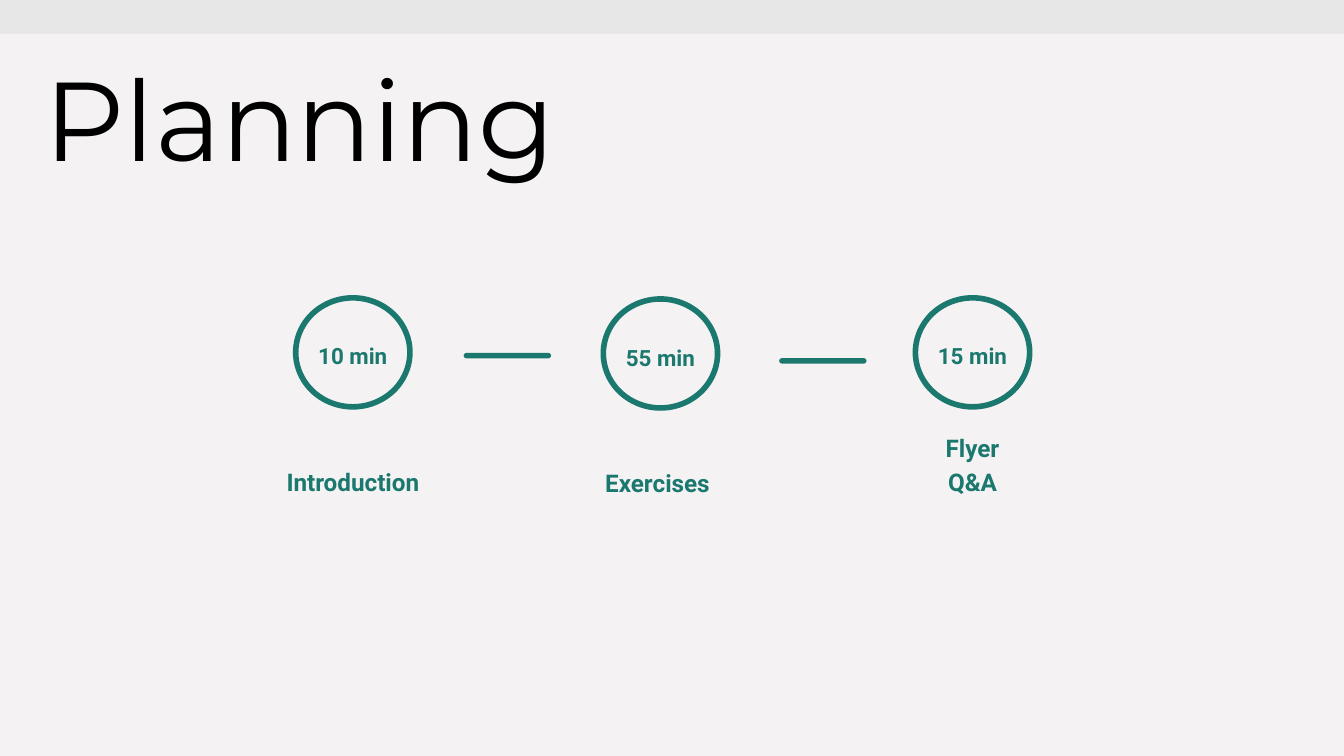
import pptx
import pptx.util
import pptx.dml.color
import pptx.enum.shapes
import pptx.enum.text

Pt = pptx.util.Pt
Shape = pptx.enum.shapes.MSO_SHAPE
Align = pptx.enum.text.PP_ALIGN
Anchor = pptx.enum.text.MSO_ANCHOR
Fit = pptx.enum.text.MSO_AUTO_SIZE

COLORS = {"back": "F4F2F2", "band": "E7E7E7", "teal": "1B786F", "black": "000000"}
TITLE = "Planning"
STEPS = [
    ("10 min", ["Introduction"], 158.4, 159.6),
    ("55 min", ["Exercises "], 323.2, 160.2),
    ("15 min", ["Flyer", "Q&A"], 490.4, 159.6),
]
DASHES = [(248.4, 189.1), (417.4, 191.9)]
RING = (61.2, 58.4)
LABEL = (175.6, 44)


def color(name):
    return pptx.dml.color.RGBColor.from_string(COLORS[name])


def write(box, lines, size, font="Roboto", tint="teal", bold=True,
          align=Align.CENTER, anchor=Anchor.TOP, space=1.15, after=0, fit=Fit.NONE):
    frame = box.text_frame
    frame.word_wrap = True
    frame.auto_size = fit
    frame.vertical_anchor = anchor
    frame.margin_left = frame.margin_right = Pt(7.2)
    frame.margin_top = frame.margin_bottom = Pt(7.2)
    for i, line in enumerate(lines):
        para = frame.add_paragraph() if i else frame.paragraphs[0]
        para.alignment = align
        para.line_spacing = space
        para.space_before = Pt(0)
        para.space_after = Pt(after)
        run = para.add_run()
        run.text = line
        run.font.name = font
        run.font.size = Pt(size)
        run.font.bold = bold
        run.font.color.rgb = color(tint)


def draw(shapes, kind, left, top, width, height, fill=None, line=None):
    shape = shapes.add_shape(kind, Pt(left), Pt(top), Pt(width), Pt(height))
    shape.shadow.inherit = False
    if fill:
        shape.fill.solid()
        shape.fill.fore_color.rgb = color(fill)
    else:
        shape.fill.background()
    if line:
        shape.line.color.rgb = color(line)
        shape.line.width = Pt(3)
    else:
        shape.line.fill.background()
    return shape


def add_step(slide, time, label, left, top):
    shapes = slide.shapes.add_group_shape().shapes
    wide, high = RING
    draw(shapes, Shape.OVAL, left, top, wide, high, line="teal")
    box = shapes.add_textbox(Pt(left), Pt(top + 14.6), Pt(wide), Pt(31.6))
    write(box, [time], 12, after=16)
    span, tall = LABEL
    start = left + (wide - span) / 2
    box = shapes.add_textbox(Pt(start), Pt(top + 69.4), Pt(span), Pt(tall))
    write(box, label, 13, anchor=Anchor.BOTTOM)


def main():
    deck = pptx.Presentation()
    deck.slide_width, deck.slide_height = Pt(720), Pt(405)
    slide = deck.slides.add_slide(deck.slide_layouts[5])
    slide.background.fill.solid()
    slide.background.fill.fore_color.rgb = color("back")

    title = slide.shapes.title
    title.left, title.top = Pt(16.6), Pt(27.4)
    title.width, title.height = Pt(420.4), Pt(80)
    write(title, [TITLE], 60, font="Montserrat", tint="black", bold=False,
          align=Align.LEFT, space=0.9, fit=Fit.SHAPE_TO_FIT_TEXT)

    draw(slide.shapes, Shape.RECTANGLE, -0.7, 0, 720.7, 18, fill="band")
    for left, top in DASHES:
        dash = draw(slide.shapes, Shape.ROUNDED_RECTANGLE, left, top, 46.8, 2.9, fill="teal")
        dash.adjustments[0] = 0.5
    for step in STEPS:
        add_step(slide, *step)
    deck.save("out.pptx")


if __name__ == "__main__":
    main()
